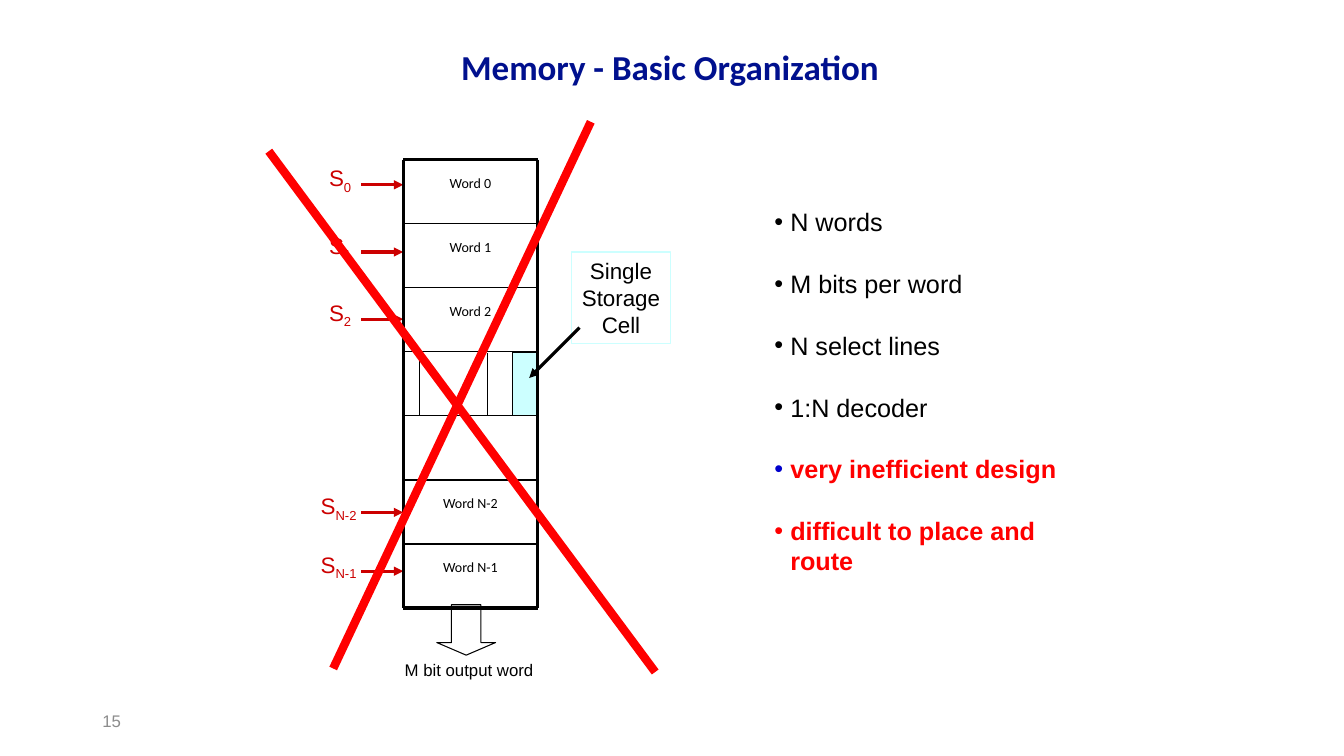
from lxml.etree import SubElement
from pptx import Presentation
from pptx.dml.color import RGBColor
from pptx.enum.shapes import MSO_CONNECTOR, MSO_SHAPE
from pptx.enum.text import MSO_ANCHOR, MSO_AUTO_SIZE, PP_ALIGN
from pptx.oxml.ns import qn
from pptx.util import Pt

COLORS = {
    "black": "000000",
    "white": "FFFFFF",
    "title": "00108E",
    "select": "CC0000",
    "warning": "FF0000",
    "marker": "0000CC",
    "cell": "CCFFFF",
    "number": "8C8C8C",
}
RGB = {name: RGBColor.from_string(value) for name, value in COLORS.items()}

presentation = Presentation()
presentation.slide_width = Pt(960)
presentation.slide_height = Pt(540)
slide = presentation.slides.add_slide(presentation.slide_layouts[1])
shapes = slide.shapes


def draw_line(start, end, color, width, arrow=False):
    line = shapes.add_connector(MSO_CONNECTOR.STRAIGHT, *map(Pt, start + end))
    line.line.color.rgb = RGB[color]
    line.line.width = Pt(width)
    if arrow:
        SubElement(line.line._get_or_add_ln(), qn("a:tailEnd"), type="triangle")
    SubElement(line._element.spPr, qn("a:effectLst"))


def add_label(lines, box, size, color="black", font="Arial", align=PP_ALIGN.LEFT, wrap=False):
    label = shapes.add_textbox(*map(Pt, box))
    frame = label.text_frame
    frame.word_wrap = wrap
    frame.auto_size = MSO_AUTO_SIZE.NONE if wrap else MSO_AUTO_SIZE.SHAPE_TO_FIT_TEXT
    frame.text = "\n".join(lines)
    for paragraph in frame.paragraphs:
        paragraph.alignment = align
        paragraph.font.name = font
        paragraph.font.size = Pt(size)
        paragraph.font.color.rgb = RGB[color]
    return label


title = shapes.title
title.left, title.top, title.width, title.height = map(Pt, (174, 18, 609, 48))
title.text_frame.auto_size = MSO_AUTO_SIZE.NONE
title.text_frame.vertical_anchor = MSO_ANCHOR.BOTTOM
title.text_frame.text = "Memory - Basic Organization"
heading = title.text_frame.paragraphs[0]
heading.alignment = PP_ALIGN.CENTER
heading.font.name = "Calibri"
heading.font.size = Pt(25)
heading.font.bold = True
heading.font.color.rgb = RGB["title"]

features = [
    ("N words", "black", "black"),
    ("M bits per word", "black", "black"),
    ("N select lines", "black", "black"),
    ("1:N decoder", "black", "black"),
    ("very inefficient design", "warning", "marker"),
    ("difficult to place and route", "warning", "warning"),
]
feature_list = slide.placeholders[1]
feature_list.left, feature_list.top, feature_list.width, feature_list.height = map(Pt, (546, 144, 250.5, 245))
feature_frame = feature_list.text_frame
feature_frame.word_wrap = False
feature_frame.auto_size = MSO_AUTO_SIZE.SHAPE_TO_FIT_TEXT
feature_frame.text = "\n".join(text for text, _, _ in features)
for index, (feature, (_, color, bullet_color)) in enumerate(zip(feature_frame.paragraphs, features)):
    feature.space_before = Pt(22.5 if index else 0)
    properties = feature._p.get_or_add_pPr()
    properties.set("marL", str(Pt(11.3)))
    properties.set("indent", str(-Pt(11.3)))
    SubElement(SubElement(properties, qn("a:buClr")), qn("a:srgbClr"), val=COLORS[bullet_color])
    SubElement(properties, qn("a:buFont"), typeface="Arial")
    SubElement(properties, qn("a:buChar"), char="•")
    feature.font.name = "Arial"
    feature.font.size = Pt(18)
    feature.font.bold = color == "warning"
    feature.font.color.rgb = RGB[color]

page_number = add_label(["15"], (66, 500.5, 216, 28.75), 12, "number", wrap=True)
page_number.text_frame.vertical_anchor = MSO_ANCHOR.MIDDLE

LEFT, RIGHT, TOP = 288, 384, 114
ROWS, ROW_HEIGHT = 7, 45.75
BOTTOM = TOP + ROWS * ROW_HEIGHT

output_arrow = shapes.add_shape(MSO_SHAPE.DOWN_ARROW, Pt(312), Pt(432), Pt(42), Pt(36))
output_arrow.adjustments[0] = 0.5
output_arrow.adjustments[1] = 0.25
output_arrow.fill.background()
storage_cell = shapes.add_shape(MSO_SHAPE.RECTANGLE, Pt(366), Pt(252), Pt(18), Pt(48))
storage_cell.fill.solid()
storage_cell.fill.fore_color.rgb = RGB["cell"]
for outlined in (output_arrow, storage_cell):
    outlined.shadow.inherit = False
    outlined.line.color.rgb = RGB["black"]
    outlined.line.width = Pt(0.75)
for divider in (300, 348):
    draw_line((divider, 252), (divider, 300), "black", 0.75)

omitted_words = shapes.add_shape(
    MSO_SHAPE.RECTANGLE, Pt(LEFT), Pt(TOP + 4 * ROW_HEIGHT), Pt(RIGHT - LEFT), Pt(ROW_HEIGHT))
omitted_words.shadow.inherit = False
omitted_words.fill.solid()
omitted_words.fill.fore_color.rgb = RGB["white"]
omitted_words.line.fill.background()

words = [(0, "0", 132), (1, "1", 180), (2, "2", 228), (5, "N-2", 366), (6, "N-1", 408)]
for row, subscript, select_y in words:
    word = add_label([f"Word {subscript}"], (LEFT, TOP + row * ROW_HEIGHT, RIGHT - LEFT, ROW_HEIGHT),
                     10, font="Calibri", align=PP_ALIGN.CENTER, wrap=True)
    word.text_frame.margin_top = Pt(10.8)
    draw_line((258, select_y), (LEFT, select_y), "select", 2.25, arrow=True)
    label_left, label_width = (228, 31) if len(subscript) == 1 else (222, 43)
    select = add_label(["S"], (label_left, select_y - 18, label_width, 26.6), 16, "select")
    index_run = select.text_frame.paragraphs[0].add_run()
    index_run.text = subscript
    index_run._r.get_or_add_rPr().set("baseline", "-25000")

for row in range(ROWS + 1):
    y = TOP + row * ROW_HEIGHT
    draw_line((LEFT, y), (RIGHT, y), "black", 2.25 if row in (0, ROWS) else 1)
for x in (LEFT, RIGHT):
    draw_line((x, TOP), (x, BOTTOM), "black", 2.25)

cell_note = add_label(["Single", "Storage", "Cell"], (408, 180, 71.25, 65.5), 16, align=PP_ALIGN.CENTER)
cell_note.line.color.rgb = RGB["cell"]
cell_note.line.width = Pt(0.75)
draw_line((414, 234), (378, 270), "black", 2.25, arrow=True)
add_label(["M bit output word"], (282, 468, 106.5, 21.6), 12)

draw_line((192, 108), (468, 480), "warning", 6)
draw_line((422, 87), (238, 477.5), "warning", 6)

presentation.save("out.pptx")
